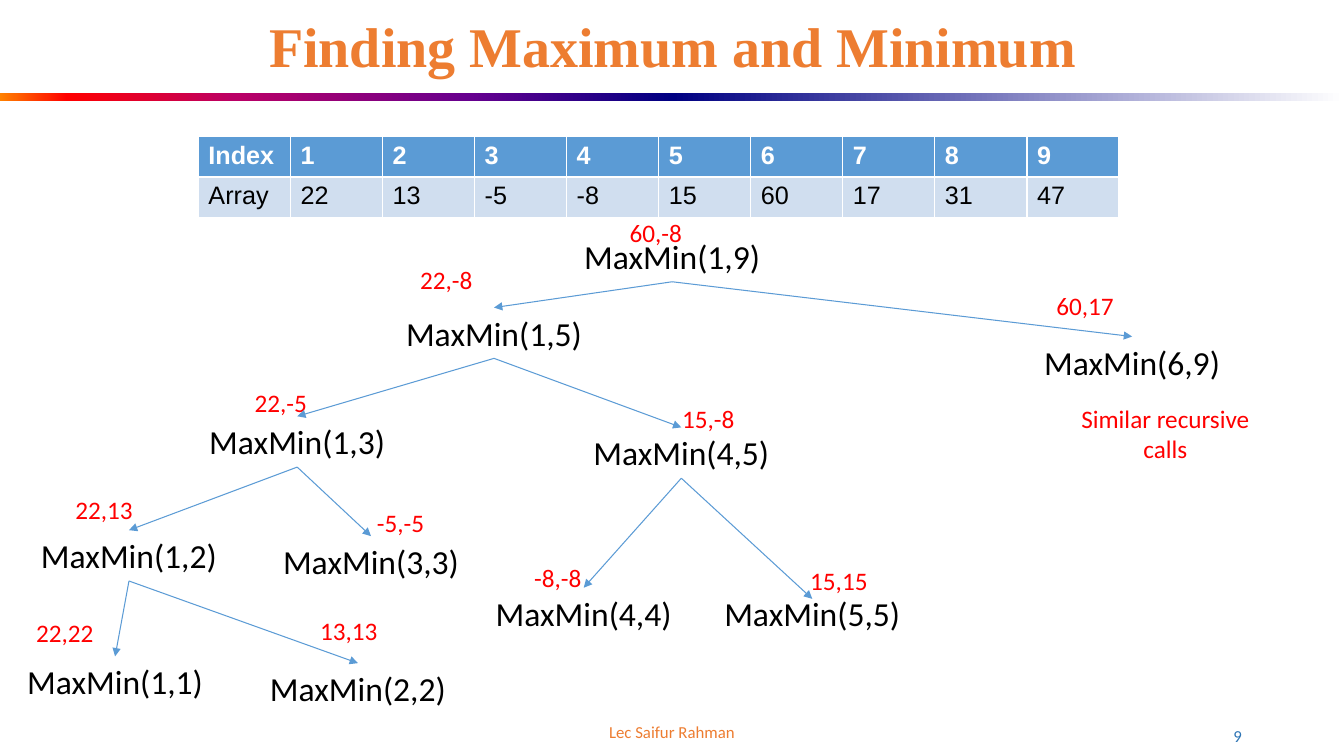
import dataclasses

import lxml.etree
import pptx
import pptx.dml.color
import pptx.enum.shapes
import pptx.enum.text
import pptx.oxml.ns
import pptx.util

Cm = pptx.util.Cm
Pt = pptx.util.Pt
qn = pptx.oxml.ns.qn
Align = pptx.enum.text.PP_ALIGN
Anchor = pptx.enum.text.MSO_ANCHOR
AutoSize = pptx.enum.text.MSO_AUTO_SIZE


@dataclasses.dataclass(frozen=True)
class Theme:
    body_font: str = "Calibri"
    title_font: str = "Times New Roman"
    table_font: str = "Arial"
    title_size: int = 40
    call_size: int = 24
    text_size: int = 18
    footer_size: int = 12
    orange: str = "ED7D31"
    black: str = "000000"
    white: str = "FFFFFF"
    red: str = "FF0000"
    blue: str = "5B9BD5"
    pale_blue: str = "D0DEEF"
    number_blue: str = "2E75B5"
    rainbow: tuple = ((0, "FF8200"), (10, "FF0000"), (35, "BA0066"),
                      (70, "66008F"), (100, "000082"))
    fade: tuple = ((0, "000082"), (100, "FFFFFF"))


THEME = Theme()
SLIDE_WIDTH, SLIDE_HEIGHT = 33.87, 19.05
CALL_WIDTH, CALL_HEIGHT = 4.98, 1.28
RESULT_WIDTH, LINE_HEIGHT = 2, 1.02

ARRAY = (
    ("Index", *range(1, 10)),
    ("Array", 22, 13, -5, -8, 15, 60, 17, 31, 47),
)

# Range of each call: (left, top), result, (result left, result top)
CALLS = {
    "1,9": ((14.45, 5.82), "60,-8", (15.62, 5.36)),
    "1,5": ((9.96, 7.75), "22,-8", (10.34, 6.53)),
    "6,9": ((26.04, 8.48), "60,17", (26.37, 7.19)),
    "1,3": ((5, 10.49), "22,-5", (6.17, 9.63)),
    "4,5": ((14.68, 10.77), "15,-8", (16.94, 10.03)),
    "1,2": ((0.76, 13.36), "22,13", (1.65, 12.32)),
    "3,3": ((6.86, 13.51), "-5,-5", (9.25, 12.67)),
    "4,4": ((12.22, 14.81), "-8,-8", (13.21, 14.05)),
    "5,5": ((17.98, 14.81), "15,15", (20.17, 14.12)),
    "1,1": ((0.41, 16.54), "22,22", (0.66, 15.44)),
    "2,2": ((6.53, 16.71), "13,13", (7.82, 15.37)),
}
SUBCALLS = {
    "1,9": ("1,5", "6,9"),
    "1,5": ("1,3", "4,5"),
    "1,3": ("1,2", "3,3"),
    "4,5": ("4,4", "5,5"),
    "1,2": ("1,1", "2,2"),
}
LOW_ARROW_END = (20.47, 15.09)  # the arrow to MaxMin(5,5) ends inside its box


def rgb(color):
    return pptx.dml.color.RGBColor.from_string(color)


def set_attributes(target, values):
    for name, value in values.items():
        setattr(target, name, value)


def format_text(frame, size, color, font=THEME.body_font, bold=False, align=Align.LEFT):
    for paragraph in frame.paragraphs:
        paragraph.alignment = align
        set_attributes(paragraph.font, {"size": Pt(size), "name": font, "bold": bold})
        paragraph.font.color.rgb = rgb(color)


def add_text(slide, text, box, size, color, align=Align.LEFT, anchor=Anchor.TOP):
    shape = slide.shapes.add_textbox(*map(Cm, box))
    shape.text_frame.text = text
    set_attributes(shape.text_frame, {"word_wrap": True, "vertical_anchor": anchor})
    format_text(shape.text_frame, size, color, align=align)
    return shape


def set_title(slide, text):
    title = slide.shapes.title
    set_attributes(title, {"left": Cm(2.34), "top": Cm(0.4),
                           "width": Cm(29.21), "height": Cm(1.68)})
    title.text_frame.text = text
    set_attributes(title.text_frame, {"vertical_anchor": Anchor.MIDDLE, "word_wrap": True,
                                      "auto_size": AutoSize.NONE})
    title.text_frame.paragraphs[0].line_spacing = 0.9
    format_text(title.text_frame, THEME.title_size, THEME.orange,
                THEME.title_font, True, Align.CENTER)


def add_gradient_bar(slide, left, stops):
    bar = slide.shapes.add_shape(pptx.enum.shapes.MSO_SHAPE.RECTANGLE,
                                 Cm(left), Cm(2.34), Cm(SLIDE_WIDTH / 2), Cm(0.2))
    bar.shadow.inherit = False
    bar.line.fill.background()
    bar.fill.gradient()
    bar.fill.gradient_angle = 0
    stop_list = bar.element.spPr.find(qn("a:gradFill")).find(qn("a:gsLst"))
    for stop in list(stop_list):
        stop_list.remove(stop)
    for percent, color in stops:
        stop = lxml.etree.SubElement(stop_list, qn("a:gs"), pos=str(percent * 1000))
        lxml.etree.SubElement(stop, qn("a:srgbClr"), val=color)


def add_array_table(slide):
    columns, column_width, row_height = len(ARRAY[0]), 2.32, 1.03
    table = slide.shapes.add_table(
        len(ARRAY), columns, Cm(5), Cm(3.43),
        Cm(columns * column_width), Cm(len(ARRAY) * row_height)).table
    styles = ((THEME.blue, THEME.white, True), (THEME.pale_blue, THEME.black, False))
    for row, values, (fill, color, bold) in zip(table.rows, ARRAY, styles):
        for cell, value in zip(row.cells, values):
            cell.text = str(value)
            cell.fill.solid()
            cell.fill.fore_color.rgb = rgb(fill)
            format_text(cell.text_frame, THEME.text_size, color, THEME.table_font, bold)


def add_arrow(slide, caller, callee, end=None):
    """Join caller's bottom to callee's top, or stop at a free end point."""
    arrow = slide.shapes.add_connector(
        pptx.enum.shapes.MSO_CONNECTOR.STRAIGHT, 0, 0, *map(Cm, end or (0, 0)))
    arrow.begin_connect(caller, 2)
    if end is None:
        arrow.end_connect(callee, 0)
    arrow.line.width = Pt(0.75)
    arrow.line.color.rgb = rgb(THEME.blue)
    properties = arrow.element.spPr
    lxml.etree.SubElement(properties.find(qn("a:ln")), qn("a:tailEnd"), type="triangle")
    lxml.etree.SubElement(properties, qn("a:effectLst"))


def add_call_tree(slide):
    calls = {}
    for bounds, (place, result, result_place) in CALLS.items():
        calls[bounds] = add_text(slide, f"MaxMin({bounds})", (*place, CALL_WIDTH, CALL_HEIGHT),
                                 THEME.call_size, THEME.black, Align.CENTER)
        add_text(slide, result, (*result_place, RESULT_WIDTH, LINE_HEIGHT),
                 THEME.text_size, THEME.red)
    for caller, callees in SUBCALLS.items():
        for callee in callees:
            end = LOW_ARROW_END if callee == "5,5" else None
            add_arrow(slide, calls[caller], calls[callee], end)


def main():
    presentation = pptx.Presentation()
    set_attributes(presentation, {"slide_width": Cm(SLIDE_WIDTH),
                                  "slide_height": Cm(SLIDE_HEIGHT)})
    slide = presentation.slides.add_slide(presentation.slide_layouts[5])
    add_gradient_bar(slide, 0, THEME.rainbow)
    add_gradient_bar(slide, SLIDE_WIDTH / 2, THEME.fade)
    set_title(slide, "Finding Maximum and Minimum")
    add_array_table(slide)
    add_call_tree(slide)
    add_text(slide, "Similar recursive\ncalls", (26.97, 10.03, 4.8, 1.8),
             THEME.text_size, THEME.red, Align.CENTER)
    add_text(slide, "Lec Saifur Rahman", (10.24, 17.93, 13.39, LINE_HEIGHT),
             THEME.footer_size, THEME.orange, Align.CENTER, Anchor.MIDDLE)
    add_text(slide, "9", (23.93, 18.03, 7.62, LINE_HEIGHT),
             THEME.footer_size, THEME.number_blue, Align.RIGHT, Anchor.MIDDLE)
    presentation.save("out.pptx")


if __name__ == "__main__":
    main()
